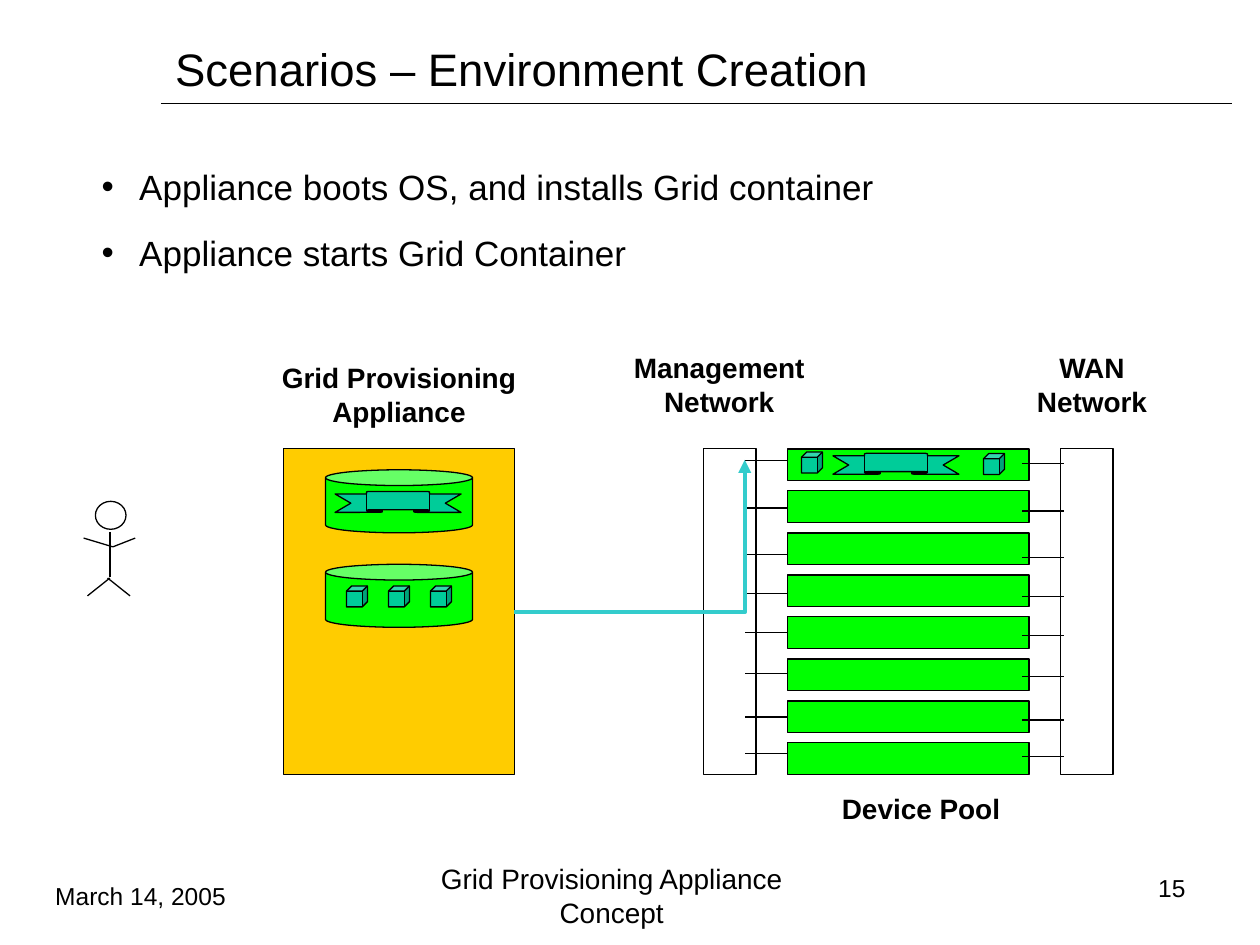
from lxml.etree import SubElement
from pptx import Presentation
from pptx.dml.color import RGBColor
from pptx.enum.shapes import MSO_CONNECTOR, MSO_SHAPE
from pptx.enum.text import MSO_ANCHOR, MSO_AUTO_SIZE, PP_ALIGN
from pptx.oxml.ns import qn
from pptx.util import Pt

BLACK, GREEN, TEAL, GOLD, CYAN = "000000", "00FF00", "00CC99", "FFCC00", "33CCCC"
color = RGBColor.from_string

deck = Presentation()
deck.slide_width, deck.slide_height = Pt(720), Pt(540)
slide = deck.slides.add_slide(deck.slide_layouts[6])


def draw(tree, kind, x, y, w, h, fill=None):
    """Add a thin-outlined preset shape, hollow when no fill is given."""
    shape = tree.add_shape(kind, Pt(x), Pt(y), Pt(w), Pt(h))
    shape.shadow.inherit = False
    if fill:
        shape.fill.solid()
        shape.fill.fore_color.rgb = color(fill)
    else:
        shape.fill.background()
    shape.line.color.rgb = color(BLACK)
    shape.line.width = Pt(0.75)
    return shape


def link(tree, x1, y1, x2, y2, hue=BLACK, width=0.75):
    """Add a straight connector without a shadow."""
    line = tree.add_connector(MSO_CONNECTOR.STRAIGHT, Pt(x1), Pt(y1), Pt(x2), Pt(y2))
    line.line.color.rgb = color(hue)
    line.line.width = Pt(width)
    SubElement(line._element.spPr, qn("a:effectLst"))
    return line


shapes = slide.shapes
link(shapes, 92, 59, 704, 59)

# Actor
actor = shapes.add_group_shape().shapes
draw(actor, MSO_SHAPE.OVAL, 54.5, 286.5, 17.5, 16)
for limb in [(62.8, 304, 62.8, 330), (64.5, 312.5, 77.3, 307.5), (64.5, 312.5, 47.8, 307.5),
             (62.8, 330.3, 50, 340.5), (61.5, 330.3, 74.3, 340.5)]:
    link(actor, *limb)

# Provisioning appliance and its two stores
draw(shapes, MSO_SHAPE.RECTANGLE, 162, 256.5, 132, 186, GOLD)
for y in (268.5, 322.5):
    draw(shapes, MSO_SHAPE.CAN, 186, y, 84, 36, GREEN)

# Device pool between the two networks
for i in range(8):
    draw(shapes, MSO_SHAPE.RECTANGLE, 450, 256.5 + 24 * i, 138, 18, GREEN)
for x in (402, 606):
    draw(shapes, MSO_SHAPE.RECTANGLE, x, 256.5, 30, 186)
for y in (263, 290.3, 316.7, 339.2, 361.3, 385, 409.8, 430.7):
    link(shapes, 450, y, 425.8, y)
    link(shapes, 608, y + 1.7, 584, y + 1.7)

# Path from the appliance to the first device
link(shapes, 294, 349.8, 402, 349.8)
route = link(shapes, 316.2, 240.4, 403.2, 372.2, CYAN, 2.5)
route._element.spPr.prstGeom.set("prst", "bentConnector2")
route._element.spPr.find(qn("a:xfrm")).set("rot", "5400000")
SubElement(route.line._get_or_add_ln(), qn("a:headEnd"), type="triangle")

# Operating systems (ribbons) and containers (cubes)
for x, y in [(191.5, 280.8), (476, 259)]:
    ribbon = draw(shapes, MSO_SHAPE.UP_RIBBON, x, y, 72, 12, TEAL)
    ribbon.adjustments[0], ribbon.adjustments[1] = 0.125, 0.5
for x, y in [(198, 334.8), (222, 334.8), (246, 334.8), (458, 258.3), (562, 259.2)]:
    draw(shapes, MSO_SHAPE.CUBE, x, y, 12, 12, TEAL)

# Text
LEFT, MID, RIGHT = PP_ALIGN.LEFT, PP_ALIGN.CENTER, PP_ALIGN.RIGHT
TOP, CORE = MSO_ANCHOR.TOP, MSO_ANCHOR.MIDDLE
points = ["Appliance boots OS, and installs Grid container", "Appliance starts Grid Container"]
for lines, x, y, w, h, size, bold, align, anchor in [
    (["Scenarios – Environment Creation"], 93, 24, 612, 30, 26, False, LEFT, CORE),
    (points, 51, 91, 636, 66, 20, False, LEFT, TOP),
    (["Grid Provisioning Appliance"], 150, 202.5, 156, 46, 16, True, MID, TOP),
    (["Management Network"], 342, 197, 138, 46, 16, True, MID, TOP),
    (["WAN Network"], 582, 197, 84, 46, 16, True, MID, TOP),
    (["Device Pool"], 474, 449, 108, 26.5, 16, True, LEFT, TOP),
    (["March 14, 2005"], 24.5, 498.5, 127, 26.5, 14, False, LEFT, CORE),
    (["Grid Provisioning Appliance Concept"], 219, 492, 261, 39.5, 16, False, MID, CORE),
    (["15"], 616, 498.5, 68.5, 17, 14, False, RIGHT, CORE),
]:
    frame = shapes.add_textbox(Pt(x), Pt(y), Pt(w), Pt(h)).text_frame
    frame.word_wrap = True
    frame.vertical_anchor = anchor
    if anchor == TOP:
        frame.auto_size = MSO_AUTO_SIZE.SHAPE_TO_FIT_TEXT
    for i, words in enumerate(lines):
        para = frame.add_paragraph() if i else frame.paragraphs[0]
        para.alignment = align
        if i:
            para.space_before = Pt(13.5)
        if lines is points:
            props = para._p.get_or_add_pPr()
            props.set("marL", str(Pt(21.5)))
            props.set("indent", str(-Pt(21.5)))
            SubElement(props, qn("a:buFont"), typeface="Arial")
            SubElement(props, qn("a:buChar"), char="•")
        run = para.add_run()
        run.text = words
        run.font.name, run.font.size, run.font.bold = "Arial", Pt(size), bold
        run.font.color.rgb = color(BLACK)

deck.save("out.pptx")
